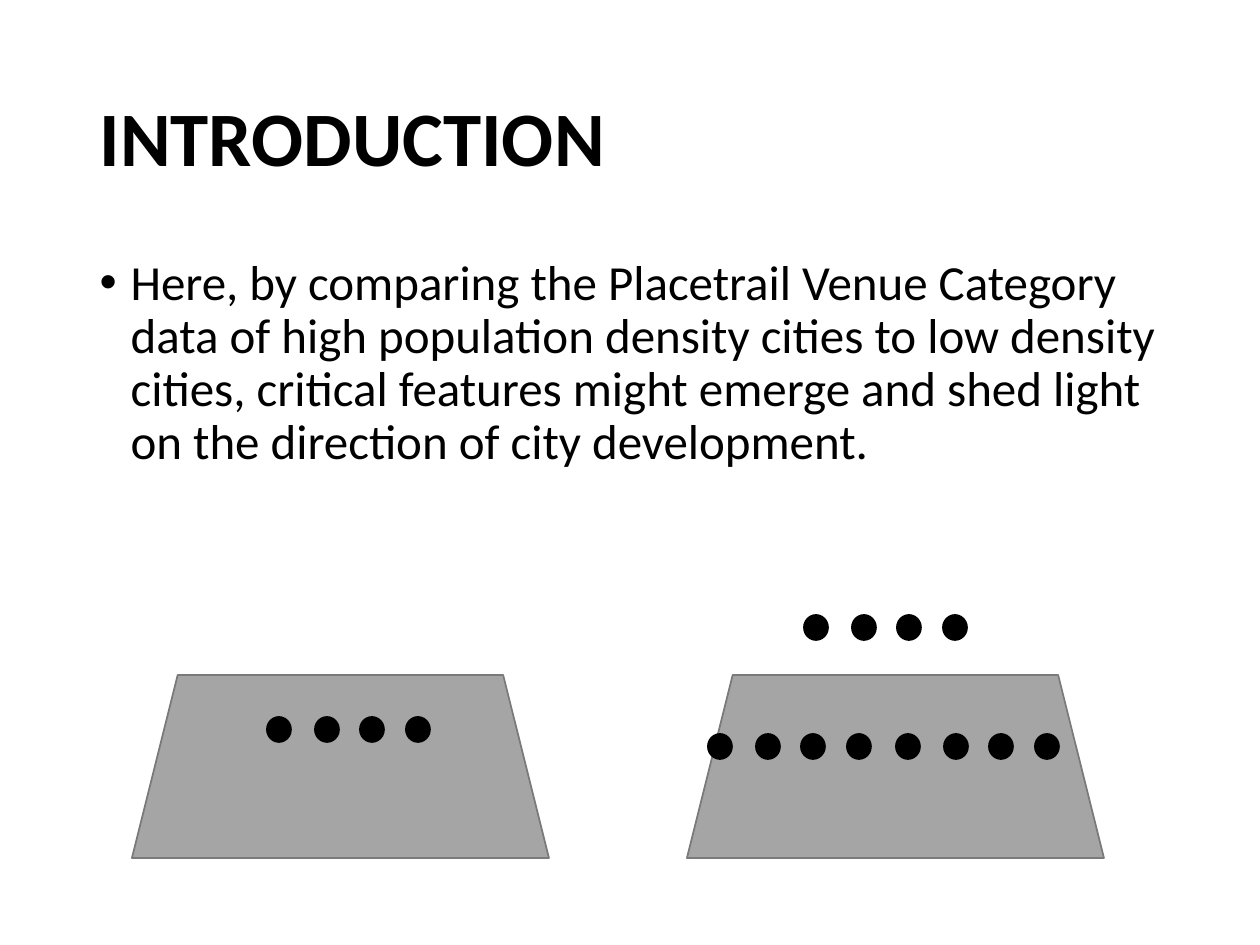
from dataclasses import dataclass

import pptx
import pptx.dml.color
import pptx.enum.shapes
import pptx.enum.text
import pptx.oxml
import pptx.oxml.ns
import pptx.util

SCALE = 914400 / 126
SHAPE = pptx.enum.shapes.MSO_SHAPE
ANCHOR = pptx.enum.text.MSO_ANCHOR

DOT_WIDTH, DOT_HEIGHT = 24, 25
DOT_OFFSETS = (0, 48, 93, 139)


@dataclass(frozen=True)
class Box:
    left: int
    top: int
    width: int
    height: int


@dataclass(frozen=True)
class DotRow:
    left: int
    top: int


PLATFORMS = [Box(left, 675, 417, 183) for left in (687, 132)]
DOT_ROWS = [DotRow(708, 734), DotRow(896, 734), DotRow(804, 615), DotRow(267, 717)]


def px(value: int) -> pptx.util.Emu:
    return pptx.util.Emu(round(value * SCALE))


def rgb(value: str) -> pptx.dml.color.RGBColor:
    return pptx.dml.color.RGBColor.from_string(value)


def set_attributes(target, values: dict) -> None:
    for name, value in values.items():
        setattr(target, name, value)


def edges(box: Box) -> dict:
    return {name: px(getattr(box, name)) for name in ("left", "top", "width", "height")}


def draw_shape(shapes, kind, box: Box, fill: str, line: str) -> None:
    sp = shapes.add_shape(kind, **edges(box))
    sp.shadow.inherit = False
    sp.fill.solid()
    sp.fill.fore_color.rgb = rgb(fill)
    sp.line.color.rgb = rgb(line)
    sp.line.width = pptx.util.Pt(1)


def draw_dots(s, row: DotRow) -> None:
    group = s.shapes.add_group_shape()
    for offset in DOT_OFFSETS:
        box = Box(row.left + offset, row.top, DOT_WIDTH, DOT_HEIGHT)
        draw_shape(group.shapes, SHAPE.OVAL, box, "000000", "000000")


def add_bullet(p, indent: int) -> None:
    p_pr = p._p.get_or_add_pPr()
    p_pr.set("marL", str(px(indent)))
    p_pr.set("indent", str(-px(indent)))
    bullet = pptx.oxml.parse_xml(f'<a:buChar {pptx.oxml.ns.nsdecls("a")} char="•"/>')
    p_pr.append(bullet)


def fill_placeholder(sp, box: Box, text: str, anchor, size: int, bold: bool, indent: int = 0) -> None:
    set_attributes(sp, edges(box))
    tf = sp.text_frame
    set_attributes(tf, {
        "text": text,
        "word_wrap": True,
        "auto_size": pptx.enum.text.MSO_AUTO_SIZE.NONE,
        "vertical_anchor": anchor,
    })
    p = tf.paragraphs[0]
    if indent:
        add_bullet(p, indent)
    set_attributes(p, {
        "alignment": pptx.enum.text.PP_ALIGN.LEFT,
        "line_spacing": 0.9,
        "space_before": pptx.util.Pt(0),
    })
    r = p.runs[0]
    set_attributes(r.font, {"name": "Calibri", "size": pptx.util.Pt(size), "bold": bold})
    r.font.color.rgb = rgb("000000")


def main() -> None:
    prs = pptx.Presentation()
    set_attributes(prs, {"slide_width": px(1260), "slide_height": px(945)})
    s = prs.slides.add_slide(prs.slide_layouts[1])

    fill_placeholder(s.shapes.title, Box(87, 50, 1086, 183), "INTRODUCTION", ANCHOR.MIDDLE, 44, True)
    fill_placeholder(
        s.placeholders[1],
        Box(87, 252, 1086, 275),
        "Here, by comparing the Placetrail Venue Category data of high population density cities "
        "to low density cities, critical features might emerge and shed light on the direction "
        "of city development.",
        ANCHOR.TOP, 28, False, indent=31,
    )
    for box in PLATFORMS:
        draw_shape(s.shapes, SHAPE.TRAPEZOID, box, "A5A5A5", "7A7A7A")
    for row in DOT_ROWS:
        draw_dots(s, row)

    prs.save("out.pptx")


if __name__ == "__main__":
    main()
